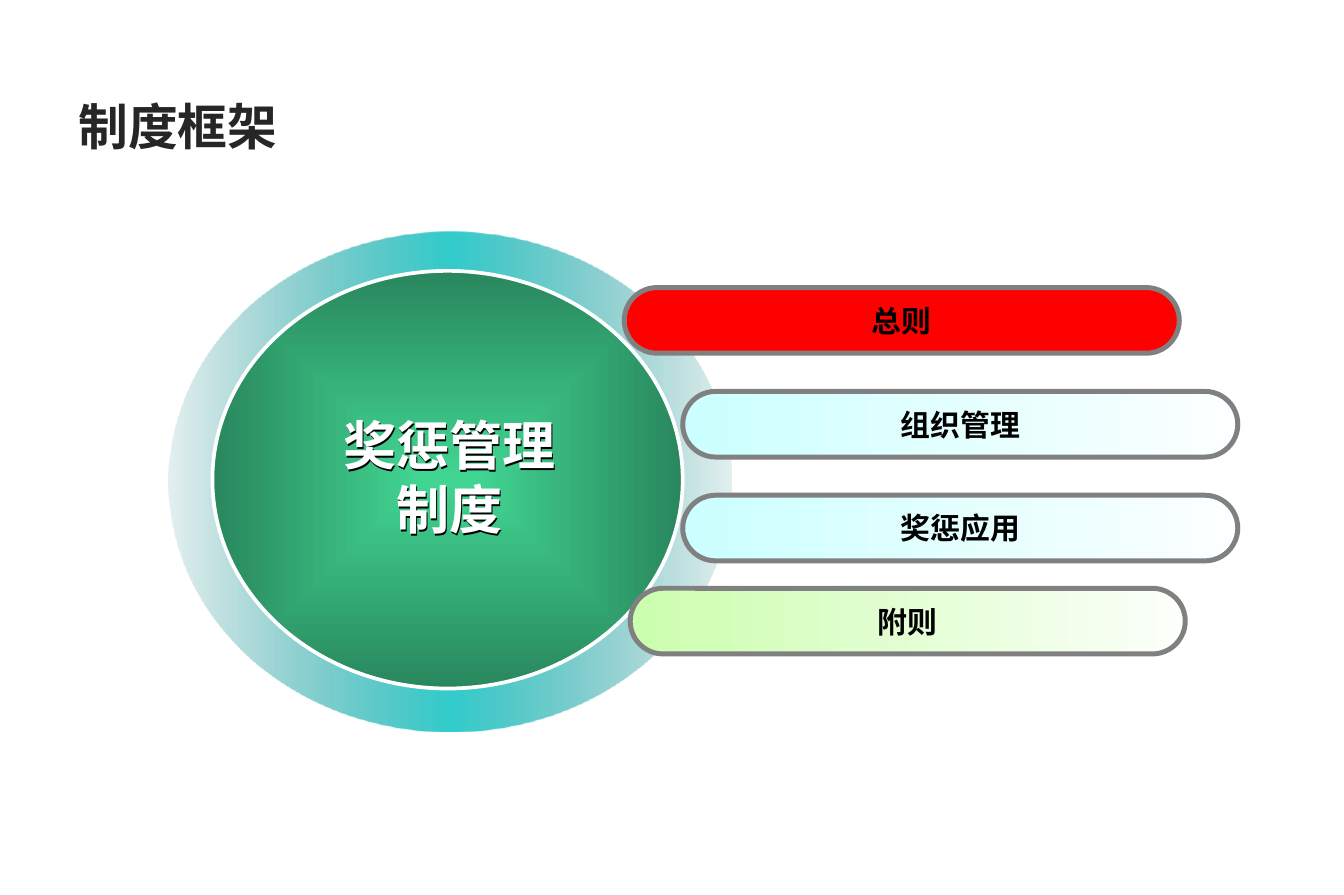
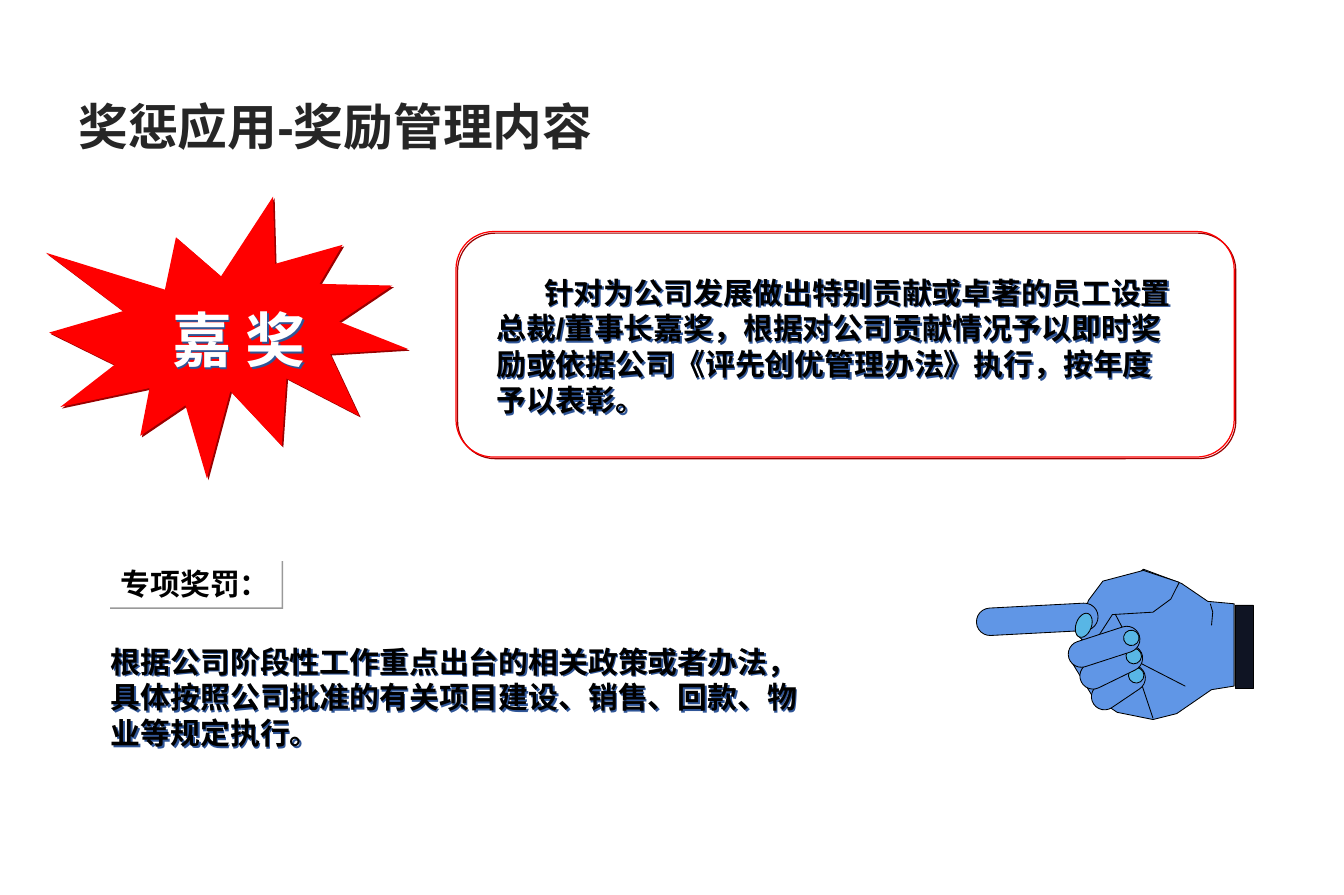
"""Build two slides on a reward and penalty policy: its framework and its rewards."""
import math

import lxml.etree
import pptx
import pptx.dml.color
import pptx.enum.shapes
import pptx.enum.text
import pptx.oxml.ns
import pptx.util

Inches = pptx.util.Inches
Pt = pptx.util.Pt
SHAPE = pptx.enum.shapes.MSO_SHAPE
ALIGN = pptx.enum.text.PP_ALIGN
ANCHOR = pptx.enum.text.MSO_ANCHOR
qn = pptx.oxml.ns.qn
rgb = pptx.dml.color.RGBColor.from_string
sub = lxml.etree.SubElement

RED = "FF0000"
WHITE = "FFFFFF"
BLACK = "000000"
INK = "262626"
GREY = "808080"
SILVER = "999999"
AQUA = [(0, "CCFFFF", 100), (100, "FCFFFF", 100)]
LIME = [(0, "CBFEAE", 100), (100, "FCFFFA", 100)]
TEAL = [(0, "228888", 12), (50, "33CCCC", 100), (100, "228888", 12)]
GREEN = [(0, "41D592", 100), (100, "29875D", 100)]
SKIN = "6096E6"
NAIL = "58B6E5"
CUFF = "0F1423"
MAROON = "990000"
NAVY = "2F5597"


def paint(shape, fill=None, line=None, width=1, shade=None, radial=False):
    if fill is None:
        shape.fill.background()
    elif isinstance(fill, str):
        shape.fill.solid()
        shape.fill.fore_color.rgb = rgb(fill)
    else:
        shape.fill.gradient()
        shape.fill.gradient_angle = 0
        grad = shape._element.spPr.find(qn("a:gradFill"))
        stops = grad.find(qn("a:gsLst"))
        for old in list(stops):
            stops.remove(old)
        for pos, colour, alpha in fill:
            stop = sub(stops, qn("a:gs"), pos=str(pos * 1000))
            tint = sub(stop, qn("a:srgbClr"), val=colour)
            if alpha < 100:
                sub(tint, qn("a:alpha"), val=str(alpha * 1000))
        if radial:
            grad.remove(grad.find(qn("a:lin")))
            focus = sub(grad, qn("a:path"), path="rect")
            sub(focus, qn("a:fillToRect"), l="50000", t="50000", r="50000", b="50000")
    if line:
        shape.line.color.rgb = rgb(line)
        shape.line.width = Pt(width)
    else:
        shape.line.fill.background()
    shape.shadow.inherit = False
    if shade:
        effects = shape._element.spPr.find(qn("a:effectLst"))
        cast = sub(effects, qn("a:outerShdw"), dist=str(Pt(1.4)), dir="2700000",
                   algn="ctr", rotWithShape="0")
        sub(cast, qn("a:srgbClr"), val=shade)


def write(shape, text, size=18, colour=BLACK, align=ALIGN.CENTER,
          anchor=ANCHOR.MIDDLE, wrap=True, font="Arial"):
    frame = shape.text_frame
    frame.text = text
    frame.word_wrap = wrap
    frame.vertical_anchor = anchor
    for para in frame.paragraphs:
        para.alignment = align
        for run in para.runs:
            run.font.name = font
            run.font.size = Pt(size)
            run.font.bold = True
            run.font.color.rgb = rgb(colour)


deck = pptx.Presentation()
deck.slide_width = Inches(11.26)
deck.slide_height = Inches(7.5)

boards = []
for title in ("制度框架", "奖惩应用-奖励管理内容"):
    slide = deck.slides.add_slide(deck.slide_layouts[6])
    head = slide.shapes.add_textbox(Inches(0.56), Inches(0.67), Inches(10.13), Inches(0.77))
    write(head, title, 30, INK, ALIGN.LEFT)
    boards.append(slide.shapes)
frame, award = boards

ring = frame.add_shape(SHAPE.DONUT, Inches(1.41), Inches(1.94), Inches(4.72), Inches(4.19))
ring.adjustments[0] = 0.1
paint(ring, TEAL)
disc = frame.add_shape(SHAPE.OVAL, Inches(1.78), Inches(2.27), Inches(3.94), Inches(3.5))
paint(disc, GREEN, WHITE, 2.25, radial=True)
core = frame.add_textbox(Inches(2.45), Inches(3.41), Inches(2.63), Inches(1.17))
paint(core, shade=BLACK)
write(core, "奖惩管理\n制度", 32, WHITE, anchor=ANCHOR.TOP)

bars = [
    ("总则", 5.23, 2.41, RED),
    ("组织管理", 5.72, 3.28, AQUA),
    ("奖惩应用", 5.72, 4.15, AQUA),
    ("附则", 5.28, 4.93, LIME),
]
for label, left, top, fill in bars:
    bar = frame.add_shape(SHAPE.ROUNDED_RECTANGLE, Inches(left), Inches(top),
                          Inches(4.65), Inches(0.55))
    bar.adjustments[0] = 0.5
    paint(bar, fill, GREY, 3)
    write(bar, label, wrap=False)

star = award.add_shape(SHAPE.EXPLOSION1, Inches(0.43), Inches(1.7), Inches(2.97), Inches(2.28))
star.rotation = 353.2
paint(star, RED, shade=MAROON)
prize = award.add_textbox(Inches(1.17), Inches(2.49), Inches(1.66), Inches(0.7))
paint(prize, shade=NAVY)
write(prize, "嘉 奖", 36, WHITE, anchor=ANCHOR.TOP, font="Noto Sans CJK JP")

rule = award.add_textbox(Inches(4.06), Inches(2.25), Inches(5.93), Inches(1.3))
paint(rule, shade=NAVY)
write(rule, "针对为公司发展做出特别贡献或卓著的员工设置总裁/董事长嘉奖，"
      "根据对公司贡献情况予以即时奖励或依据公司《评先创优管理办法》执行，按年度予以表彰。",
      align=ALIGN.LEFT, anchor=ANCHOR.TOP)
rule.text_frame.paragraphs[0]._p.get_or_add_pPr().set("indent", str(Inches(0.4)))
edge = award.add_shape(SHAPE.FLOWCHART_ALTERNATE_PROCESS, Inches(3.82), Inches(1.94),
                       Inches(6.52), Inches(1.89))
paint(edge, line=RED, width=0.75, shade=MAROON)

hand = award.add_group_shape().shapes
palm = [(10.34, 5.06), (10.12, 5.04), (9.9, 4.89), (9.58, 4.77), (9.17, 5.11), (8.98, 5.55),
        (9.15, 5.83), (9.36, 5.97), (9.66, 6.03), (9.86, 5.98), (10.15, 5.78), (10.34, 5.75)]
thumb = [(9.12, 5.03), (9.24, 4.87), (9.58, 4.78), (9.88, 4.88), (9.81, 5.02),
         (9.66, 5.13), (9.32, 5.15), (9.21, 5.32), (9.08, 5.37), (9.02, 5.32)]
fold = [(9.34, 5.14), (9.56, 5.56), (9.93, 5.75)]
crease = [(9.41, 5.48), (9.56, 5.72), (9.66, 6.02)]
wrist = [(10.14, 5.06), (10.16, 5.13), (10.15, 5.24)]

digits = [(SHAPE.ROUNDED_RECTANGLE, SKIN, 8.69, 5.19, 1.02, 0.23, -3)]
for step in (2, 1, 0):
    x = 9.25 + 0.06 * step
    y = 5.42 + 0.17 * step
    length = 0.62 - 0.06 * step
    tilt = -18 - 8 * step
    reach = length / 2 - 0.07
    angle = math.radians(tilt)
    digits.append((SHAPE.ROUNDED_RECTANGLE, SKIN, x, y, length, 0.22, tilt))
    digits.append((SHAPE.OVAL, NAIL, x + reach * math.cos(angle),
                   y + reach * math.sin(angle), 0.13, 0.13, tilt))

outlines = [(palm, SKIN), (fold, None), (crease, None), (wrist, None), (thumb, SKIN)]
for points, fill in outlines:
    dots = [(100 * x, 100 * y) for x, y in points]
    pen = hand.build_freeform(*dots[0], scale=Inches(0.01))
    pen.add_line_segments(dots[1:], close=fill is not None)
    paint(pen.convert_to_shape(), fill, BLACK, 0.5)

digits.append((SHAPE.OVAL, NAIL, 9.08, 5.24, 0.13, 0.21, 20))
for kind, fill, x, y, width, height, tilt in digits:
    digit = hand.add_shape(kind, Inches(x - width / 2), Inches(y - height / 2),
                           Inches(width), Inches(height))
    digit.rotation = tilt
    if kind == SHAPE.ROUNDED_RECTANGLE:
        digit.adjustments[0] = 0.5
    paint(digit, fill, BLACK, 0.5)
cuff = hand.add_shape(SHAPE.RECTANGLE, Inches(10.35), Inches(5.07), Inches(0.15), Inches(0.7))
paint(cuff, CUFF, BLACK, 0.5)

terms = award.add_textbox(Inches(0.83), Inches(5.34), Inches(6.11), Inches(1))
paint(terms, shade=NAVY)
write(terms, "根据公司阶段性工作重点出台的相关政策或者办法，"
      "具体按照公司批准的有关项目建设、销售、回款、物业等规定执行。", align=ALIGN.LEFT)
tag = award.add_shape(SHAPE.RECTANGLE, Inches(0.91), Inches(4.69), Inches(1.45), Inches(0.4))
paint(tag, WHITE, shade=SILVER)
write(tag, "专项奖罚：", anchor=ANCHOR.TOP, wrap=False)

deck.save("out.pptx")
